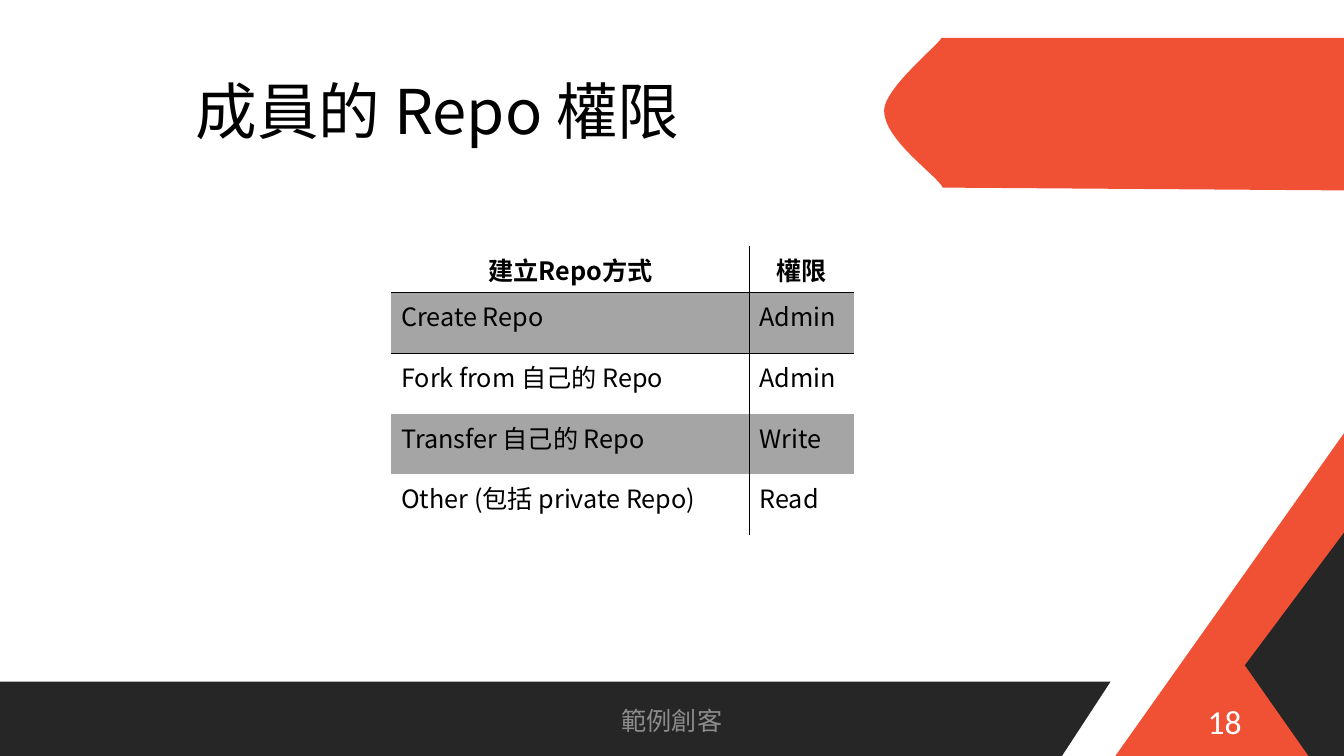
import dataclasses

import lxml.etree
import pptx
import pptx.dml.color
import pptx.enum.shapes
import pptx.enum.text
import pptx.oxml.ns
import pptx.util

Pt = pptx.util.Pt
Align = pptx.enum.text.PP_ALIGN
Anchor = pptx.enum.text.MSO_ANCHOR
Kind = pptx.enum.shapes.MSO_SHAPE
qn = pptx.oxml.ns.qn


@dataclasses.dataclass(frozen=True)
class Theme:
    red: str = "F05033"
    dark: str = "262626"
    white: str = "FFFFFF"
    ink: str = "000000"
    band: str = "A5A5A5"
    mute: str = "8C8C8C"
    font: str = "Noto Sans CJK SC"
    num: str = "Calibri"
    head: int = 44
    page: int = 24
    body: int = 18


THEME = Theme()
WIDE, HIGH = 960, 540
ROWS = [
    ("建立Repo方式", "權限"),
    ("Create Repo", "Admin"),
    ("Fork from 自己的 Repo", "Admin"),
    ("Transfer 自己的 Repo", "Write"),
    ("Other (包括 private Repo)", "Read"),
]


def rgb(color):
    return pptx.dml.color.RGBColor.from_string(color)


def paint(shape, color):
    shape.shadow.inherit = False
    shape.fill.solid()
    shape.fill.fore_color.rgb = rgb(color)
    shape.line.fill.background()


def write(frame, text, size, color, align, font=THEME.font, bold=False):
    frame.text = text
    para = frame.paragraphs[0]
    para.alignment = align
    for run in para.runs:
        run.font.size = Pt(size)
        run.font.bold = bold
        run.font.name = font
        run.font.color.rgb = rgb(color)
        east = lxml.etree.Element(qn("a:ea"), typeface=font)
        run.font._element.find(qn("a:latin")).addnext(east)
    return para


def block(slide, kind, box, color):
    shape = slide.shapes.add_shape(kind, *map(Pt, box))
    paint(shape, color)
    return shape


def corner(slide, box, color):
    """Right triangle whose square corner is at the lower right of box."""
    left, top, width, height = box
    shift = (width - height) / 2
    turned = (left + shift, top - shift, height, width)
    block(slide, Kind.RIGHT_TRIANGLE, turned, color).rotation = 270


def curve(start, one, two, end, steps=16):
    for i in range(1, steps + 1):
        t = i / steps
        u = 1 - t
        yield tuple(u**3 * a + 3 * u * u * t * b + 3 * u * t * t * c + t**3 * d
                    for a, b, c, d in zip(start, one, two, end))


def banner(slide, box):
    left, top, width, height = box
    low, mid, high = (42, 107), (0, 52), (41, 0)
    points = [(width, 0), (width, height), low,
              *curve(low, (37.5, 98), (0, 73), mid),
              *curve(mid, (0, 36), (39.5, 4.5), high)]
    build = slide.shapes.build_freeform(
        Pt(left + high[0]), Pt(top + high[1]), scale=1.0)
    build.add_line_segments([(Pt(left + x), Pt(top + y)) for x, y in points])
    paint(build.convert_to_shape(), THEME.red)


def footer(slide, box):
    left, top, width, height = box
    base = top + height
    # Dark bar with a slanted end
    block(slide, Kind.RECTANGLE, (left, top, 800, height), THEME.dark)
    corner(slide, (left + 758, base - 64, 42.5, 65), THEME.white)
    # Stacked triangles in the corner
    corner(slide, (left + width - 164, base - 230.5, 164, 231.5), THEME.red)
    corner(slide, (left + width - 120, base - 159.5, 120, 160.5), THEME.dark)
    block(slide, Kind.ISOSCELES_TRIANGLE,
          (left + 823.7, base - 78.5, 111.6, 79.5), THEME.red)


def title(slide, box):
    shape = slide.shapes.title
    shape.left, shape.top, shape.width, shape.height = map(Pt, box)
    slide.shapes._spTree.append(shape._element)
    frame = shape.text_frame
    frame.vertical_anchor = Anchor.MIDDLE
    para = write(frame, "成員的 Repo 權限", THEME.head, THEME.ink, Align.LEFT)
    para.line_spacing = 0.9


def border(cell, side):
    props = cell._tc.get_or_add_tcPr()
    line = lxml.etree.SubElement(props, qn("a:" + side), w=str(Pt(1)))
    fill = lxml.etree.SubElement(line, qn("a:solidFill"))
    lxml.etree.SubElement(fill, qn("a:srgbClr"), val=THEME.ink)


def shade(cell, on):
    if not on:
        cell.fill.background()
        return
    cell.fill.solid()
    cell.fill.fore_color.rgb = rgb(THEME.band)
    tint = cell._tc.tcPr.find(".//" + qn("a:srgbClr"))
    lxml.etree.SubElement(tint, qn("a:alpha"), val="20000")


def rights(slide, box):
    """Table of how a repo is made and the right it gives."""
    left, top, width, height = box
    frame = slide.shapes.add_table(len(ROWS), 2, *map(Pt, box))
    table = frame.table
    # Plain style without lines or fills
    style = table._tbl.tblPr.find(qn("a:tableStyleId"))
    style.text = "{2D5ABB26-0587-4C30-8999-92F81FD0307C}"
    first, top_row = 256, 33
    for col, size in zip(table.columns, (first, width - first)):
        col.width = Pt(size)
    rest = (height - top_row) / (len(ROWS) - 1)
    for r, texts in enumerate(ROWS):
        table.rows[r].height = Pt(rest if r else top_row)
        for c, text in enumerate(texts):
            cell = table.cell(r, c)
            write(cell.text_frame, text, THEME.body, THEME.ink,
                  Align.LEFT if r else Align.CENTER, bold=r == 0)
            # Borders come before the fill, in the order left, right, top, bottom
            border(cell, "lnL" if c else "lnR")
            if r < 2:
                border(cell, "lnT" if r else "lnB")
            shade(cell, r % 2 == 1)


def label(slide, box, text, size, color, align, font=THEME.font):
    frame = slide.shapes.add_textbox(*map(Pt, box)).text_frame
    frame.word_wrap = True
    frame.vertical_anchor = Anchor.MIDDLE
    write(frame, text, size, color, align, font)


def main():
    deck = pptx.Presentation()
    deck.slide_width, deck.slide_height = Pt(WIDE), Pt(HIGH)
    slide = deck.slides.add_slide(deck.slide_layouts[5])
    # Backdrop
    banner(slide, (631.5, 27, WIDE - 631.5, 109))
    footer(slide, (0, 487, WIDE, HIGH - 487))
    # Content
    title(slide, (132.5, 29.5, WIDE - 132.5, 104.5))
    rights(slide, (279.4, 175.7, 330.4, 206.2))
    # Footer text
    label(slide, (318, 500.5, 324, 28.8), "範例創客",
          THEME.body, THEME.mute, Align.CENTER)
    label(slide, (678, 500.5, 216, 28.8), "18",
          THEME.page, THEME.white, Align.RIGHT, THEME.num)
    deck.save("out.pptx")


if __name__ == "__main__":
    main()
